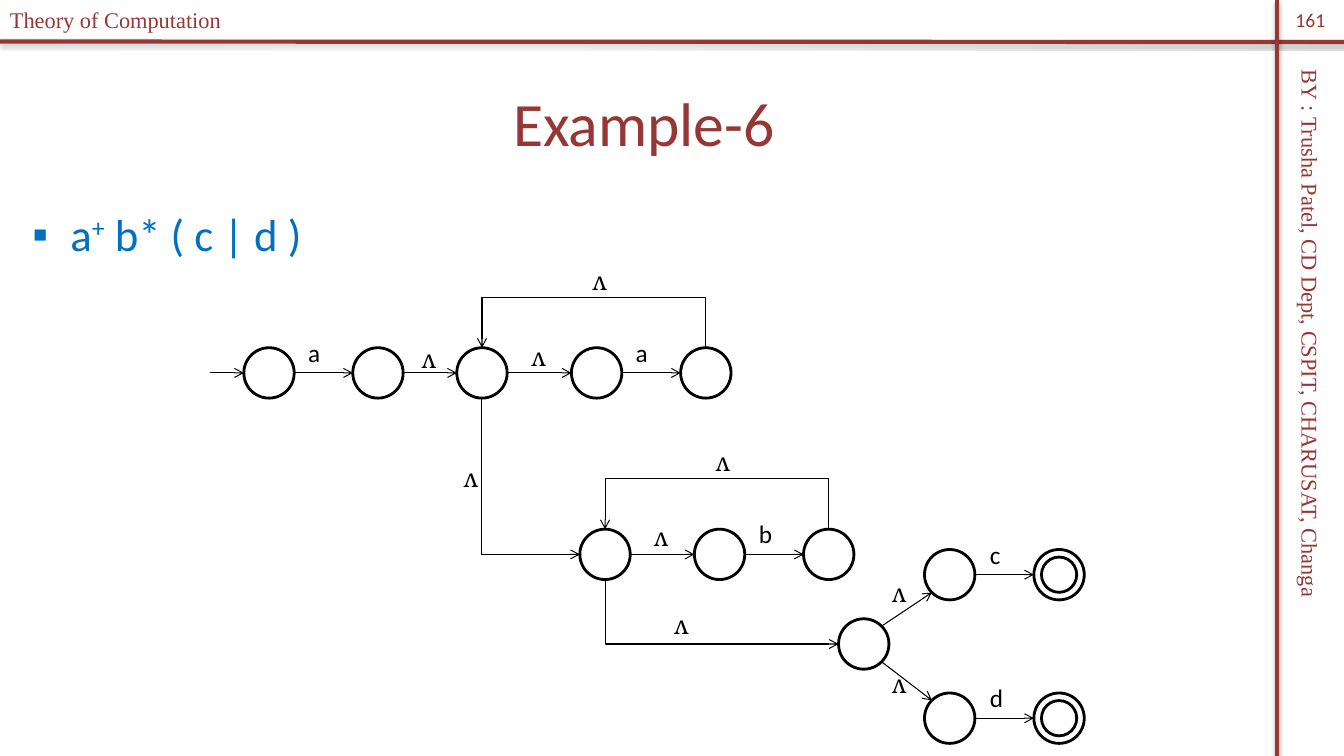
from lxml import etree
from pptx import Presentation
from pptx.dml.color import RGBColor
from pptx.enum import shapes, text
from pptx.oxml import ns
from pptx.util import Pt

RED = RGBColor(0x95, 0x37, 0x35)
BLUE = RGBColor(0x00, 0x70, 0xC0)
BLACK = RGBColor(0, 0, 0)
WHITE = RGBColor(255, 255, 255)

TITLE = "Example-6"
REGEX = [("a", False), ("+", True), (" b* ( c | d )", False)]
COURSE = "Theory of Computation"
AUTHOR = "BY : Trusha Patel, CD Dept, CSPIT, CHARUSAT, Changa"
PAGE = "161"

# State centres, in points
ROW_A, ROW_B, ROW_C, ROW_D = 266.4, 396, 410.5, 513
STATES = {
    "start": (192.2, ROW_A), "first": (270, ROW_A), "fork": (344.3, ROW_A),
    "more": (426.2, ROW_A), "again": (504.2, ROW_A),
    "star": (432.2, ROW_B), "pre_b": (514, ROW_B), "post_b": (592, ROW_B),
    "split": (617, 460),
    "pre_c": (678.4, ROW_C), "end_c": (756.5, ROW_C),
    "pre_d": (678.4, ROW_D), "end_d": (756.5, ROW_D),
}
FINAL = ["end_c", "end_d"]
STEPS = [
    ("start", "first"), ("first", "fork"), ("fork", "more"), ("more", "again"),
    ("star", "pre_b"), ("pre_b", "post_b"), ("split", "pre_c"),
    ("split", "pre_d"), ("pre_c", "end_c"), ("pre_d", "end_d"),
]
LOOPS = [("again", "fork"), ("post_b", "star")]
DROPS = [("fork", "star"), ("star", "split")]
LABELS = [  # text, left, top
    ("a", 213, 237.5), ("ʌ", 294, 242), ("ʌ", 372.5, 240), ("a", 447, 237.5),
    ("ʌ", 416, 186), ("ʌ", 324, 327), ("ʌ", 460, 368.5), ("b", 535, 367),
    ("ʌ", 504, 315.5), ("ʌ", 474.5, 432), ("ʌ", 630, 409), ("ʌ", 630, 474),
    ("c", 700, 381.5), ("d", 700, 484),
]
RADIUS, INNER = 18, 12.6
SLANT = 12.73  # horizontal and vertical reach of the radius at 45 degrees
RISE = 36
LEAD = 24

prs = Presentation()
prs.slide_width, prs.slide_height = Pt(960), Pt(540)
slide = prs.slides.add_slide(prs.slide_layouts[1])
parts = slide.shapes


def place(shape, *box):
    shape.left, shape.top, shape.width, shape.height = map(Pt, box)


def style(font, name, size, color):
    font.name, font.size, font.color.rgb = name, Pt(size), color


def note(words, box, name, size, color, wrap=True):
    """Add a text box with one paragraph and return it."""
    item = parts.add_textbox(*map(Pt, box))
    item.text_frame.word_wrap = wrap
    para = item.text_frame.paragraphs[0]
    para.text = words
    style(para.font, name, size, color)
    return item


def line(ax, ay, bx, by, color, width):
    """Add a straight connector without a shadow and return its spPr."""
    item = parts.add_connector(
        shapes.MSO_CONNECTOR.STRAIGHT, Pt(ax), Pt(ay), Pt(bx), Pt(by))
    item.line.color.rgb, item.line.width = color, Pt(width)
    props = item._element.spPr
    etree.SubElement(props, ns.qn("a:effectLst"))
    return props


def rule(*ends):
    """Add a thick frame line with a soft shadow below it."""
    glow = line(*ends, RED, 3).find(ns.qn("a:effectLst"))
    shade = etree.SubElement(glow, ns.qn("a:outerShdw"), blurRad=str(Pt(3.1)),
                             dist=str(Pt(1.8)), dir="5400000", rotWithShape="0")
    tone = etree.SubElement(shade, ns.qn("a:srgbClr"), val="000000")
    etree.SubElement(tone, ns.qn("a:alpha"), val="35000")


def tip(props):
    etree.SubElement(props.find(ns.qn("a:ln")), ns.qn("a:tailEnd"), type="arrow")


def arrow(*ends):
    tip(line(*ends, BLACK, 0.75))


def bend(*points):
    """Add an open right-angled path with an arrowhead at its end."""
    spots = [(Pt(x), Pt(y)) for x, y in points]
    pen = parts.build_freeform(*spots[0])
    pen.add_line_segments(spots[1:], close=False)
    item = pen.convert_to_shape()
    item.shadow.inherit = False
    item.fill.background()
    item.line.color.rgb, item.line.width = BLACK, Pt(0.75)
    tip(item._element.spPr)


def ring(x, y, r):
    item = parts.add_shape(shapes.MSO_SHAPE.OVAL,
                           Pt(x - r), Pt(y - r), Pt(2 * r), Pt(2 * r))
    item.shadow.inherit = False
    item.fill.solid()
    item.fill.fore_color.rgb = WHITE
    item.line.color.rgb, item.line.width = BLACK, Pt(2)


# Frame
rule(0, 29.7, 960, 30)
rule(912.3, 0, 912.3, 540)
note(AUTHOR, (705, 260.6, 462, 26.6), "Times New Roman", 16, RED).rotation = 90
note(COURSE, (0, 0.7, 237, 26.6), "Times New Roman", 16, RED)
page = note(PAGE, (912, 0, 48, 28.8), "Calibri", 14, RED)
page.text_frame.vertical_anchor = text.MSO_ANCHOR.MIDDLE
page.text_frame.paragraphs[0].alignment = text.PP_ALIGN.CENTER

# Title and expression
head, body = slide.placeholders
place(head, 16, 42, 888, 90)
head.text_frame.text = TITLE
style(head.text_frame.paragraphs[0].font, "Calibri", 44, RED)
place(body, 16, 144, 888, 378)
para = body.text_frame.paragraphs[0]
props = para._p.get_or_add_pPr()
etree.SubElement(props, ns.qn("a:buFont"), typeface="Arial")
etree.SubElement(props, ns.qn("a:buChar"), char="▪")
style(para.font, "Calibri", 32, BLUE)
for words, raised in REGEX:
    run = para.add_run()
    run.text = words
    if raised:
        run._r.get_or_add_rPr().set("baseline", "30000")

# Automaton
for x, y in STATES.values():
    ring(x, y, RADIUS)
for name in FINAL:
    ring(*STATES[name], INNER)

x, y = STATES["start"]
arrow(x - RADIUS - LEAD, y, x - RADIUS, y)
for a, b in STEPS:
    (ax, ay), (bx, by) = STATES[a], STATES[b]
    dx, dy = (RADIUS, 0) if ay == by else (SLANT, SLANT if by > ay else -SLANT)
    arrow(ax + dx, ay + dy, bx - dx, by - dy)
for a, b in LOOPS:
    (ax, y), (bx, _) = STATES[a], STATES[b]
    top = y - RADIUS
    bend((ax, top), (ax, top - RISE), (bx, top - RISE), (bx, top))
for a, b in DROPS:
    (ax, ay), (bx, by) = STATES[a], STATES[b]
    bend((ax, ay + RADIUS), (ax, by), (bx - RADIUS, by))
for words, x, y in LABELS:
    face = "Cambria" if words == "ʌ" else "Calibri"
    note(words, (x, y, 24, 29), face, 18, BLACK, wrap=False)

prs.save("out.pptx")
